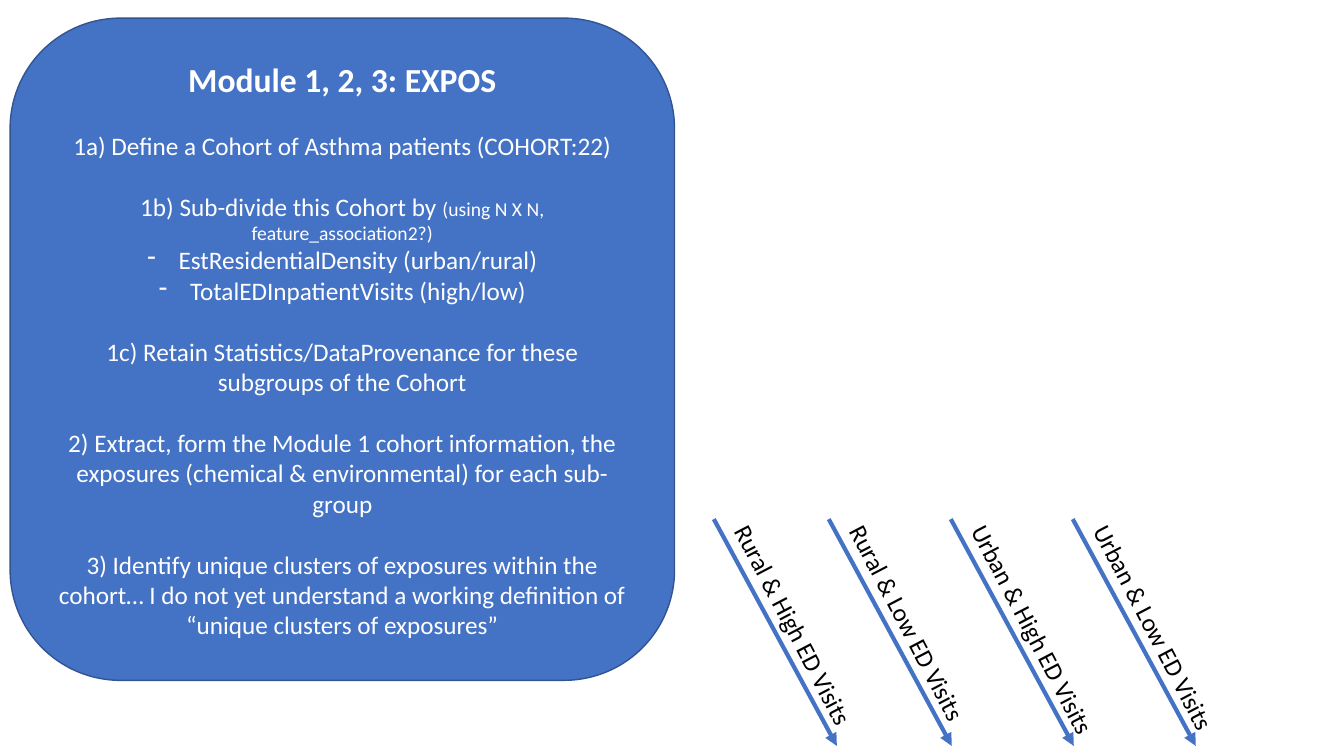
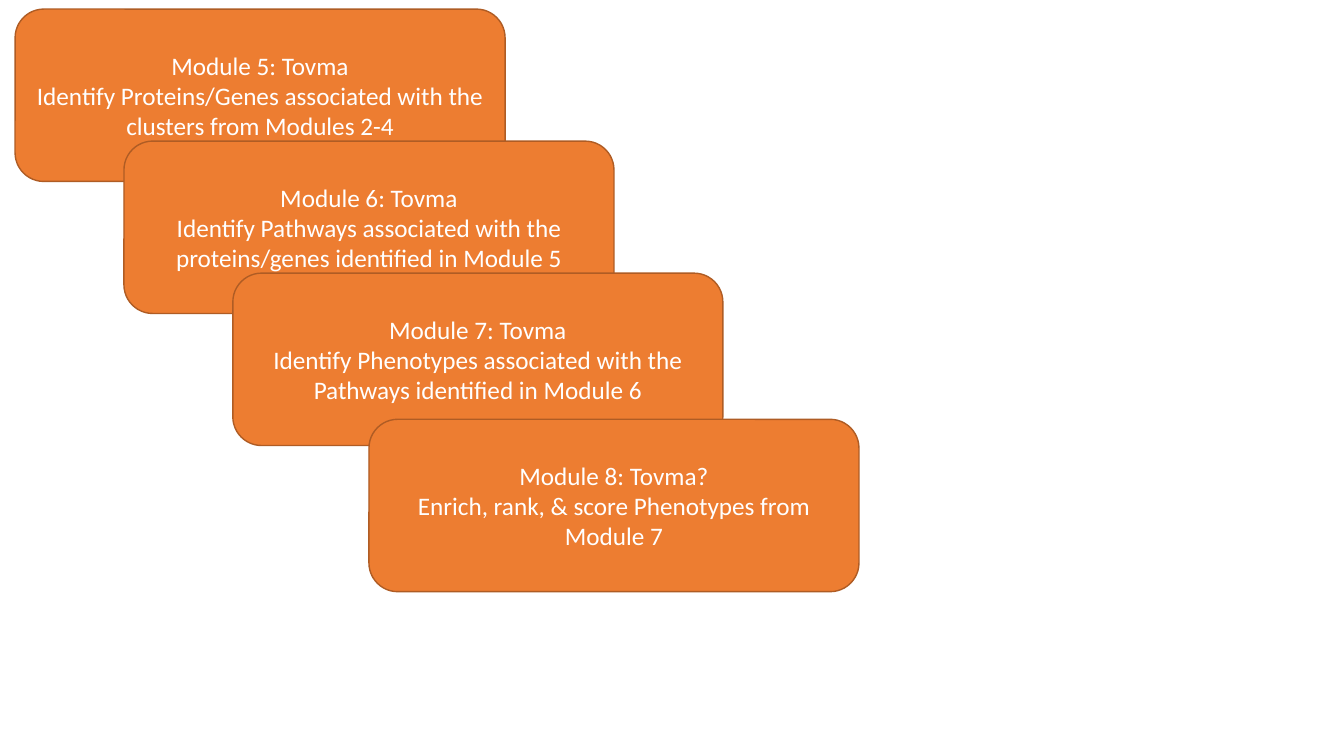
from lxml.etree import SubElement
from pptx import Presentation
from pptx.dml.color import RGBColor
from pptx.enum.shapes import MSO_CONNECTOR, MSO_SHAPE
from pptx.enum.text import MSO_ANCHOR, PP_ALIGN
from pptx.oxml.ns import qn
from pptx.util import Inches, Pt

BLUE = RGBColor(0x44, 0x72, 0xC4)
NAVY = RGBColor(0x32, 0x54, 0x91)
ORANGE = RGBColor(0xED, 0x7D, 0x31)
BROWN = RGBColor(0xAF, 0x5C, 0x24)
WHITE = RGBColor(0xFF, 0xFF, 0xFF)
BLACK = RGBColor(0, 0, 0)
FONT = "Calibri"

TITLE = "Module 1, 2, 3: EXPOS"
STEPS = [
    ("1a) Define a Cohort of Asthma patients (COHORT:22)", "", []),
    ("1b) Sub-divide this Cohort by ", "(using N X N, feature_association2?)",
     ["EstResidentialDensity (urban/rural)", "TotalEDInpatientVisits (high/low)"]),
    ("1c) Retain Statistics/DataProvenance for these subgroups of the Cohort", "", []),
    ("2) Extract, form the Module 1 cohort information, the exposures "
     "(chemical & environmental) for each sub-group", "", []),
    ("3) Identify unique clusters of exposures within the cohort… I do not yet "
     "understand a working definition of “unique clusters of exposures”", "", []),
]
GROUPS = [
    (7.08, "Rural & High ED Visits"),
    (8.22, "Rural & Low ED Visits"),
    (9.43, "Urban & High ED Visits"),
    (10.64, "Urban & Low ED Visits"),
]
MODULES = [
    (0.15, 0.09, "Module 5: Tovma",
     "Identify Proteins/Genes associated with the clusters from Modules 2-4"),
    (1.23, 1.4, "Module 6: Tovma",
     "Identify Pathways associated with the proteins/genes identified in Module 5"),
    (2.31, 2.71, "Module 7: Tovma",
     "Identify Phenotypes associated with the Pathways identified in Module 6"),
    (3.66, 4.16, "Module 8: Tovma?",
     "Enrich, rank, & score Phenotypes from Module 7"),
]


def add_card(slide, left, top, width, height, fill, edge):
    card = slide.shapes.add_shape(
        MSO_SHAPE.ROUNDED_RECTANGLE,
        Inches(left), Inches(top), Inches(width), Inches(height))
    card.shadow.inherit = False
    card.fill.solid()
    card.fill.fore_color.rgb = fill
    card.line.color.rgb = edge
    card.line.width = Pt(1)
    card.text_frame.word_wrap = True
    card.text_frame.vertical_anchor = MSO_ANCHOR.MIDDLE
    return card.text_frame


def add_text(frame, text, color=WHITE, align=PP_ALIGN.CENTER, size=18):
    para = frame.paragraphs[0]
    if para.runs:
        para = frame.add_paragraph()
    para.add_run().text = text
    para.alignment = align
    para.font.name = FONT
    para.font.size = Pt(size)
    para.font.color.rgb = color
    return para


def add_dash(para):
    props = para._p.get_or_add_pPr()
    props.set("marL", str(Inches(0.31)))
    props.set("indent", str(Inches(-0.31)))
    dash = SubElement(props, qn("a:buChar"))
    dash.set("char", "-")
    props.insert(0, dash)


def add_arrow(slide, left, top, width, height):
    arrow = slide.shapes.add_connector(
        MSO_CONNECTOR.STRAIGHT, Inches(left), Inches(top),
        Inches(left + width), Inches(top + height))
    arrow.line.color.rgb = BLUE
    arrow.line.width = Pt(3)
    SubElement(arrow.line._get_or_add_ln(), qn("a:tailEnd")).set("type", "triangle")
    SubElement(arrow._element.spPr, qn("a:effectLst"))


def add_label(slide, left, text):
    label = slide.shapes.add_textbox(
        Inches(left), Inches(6.07), Inches(2.56), Inches(0.4))
    label.rotation = 62.4
    label.text_frame.word_wrap = True
    add_text(label.text_frame, text, BLACK, PP_ALIGN.LEFT)


deck = Presentation()
deck.slide_width = Inches(13.33)
deck.slide_height = Inches(7.5)
blank = deck.slide_layouts[6]

cohort = deck.slides.add_slide(blank)
frame = add_card(cohort, 0.1, 0.18, 6.59, 6.57, BLUE, NAVY)
add_text(frame, TITLE, size=24).font.bold = True
for step, note, items in STEPS:
    para = add_text(frame, step)
    para.space_before = Pt(22)
    if note:
        run = para.add_run()
        run.text = note
        run.font.size = Pt(14)
    for item in items:
        add_dash(add_text(frame, item))
for left, group in GROUPS:
    add_arrow(cohort, left, 5.15, 1.22, 2.25)
for left, group in GROUPS:
    add_label(cohort, left - 0.45, group)

chain = deck.slides.add_slide(blank)
for left, top, name, task in MODULES:
    frame = add_card(chain, left, top, 4.86, 1.71, ORANGE, BROWN)
    add_text(frame, name)
    add_text(frame, task)

deck.save("out.pptx")
